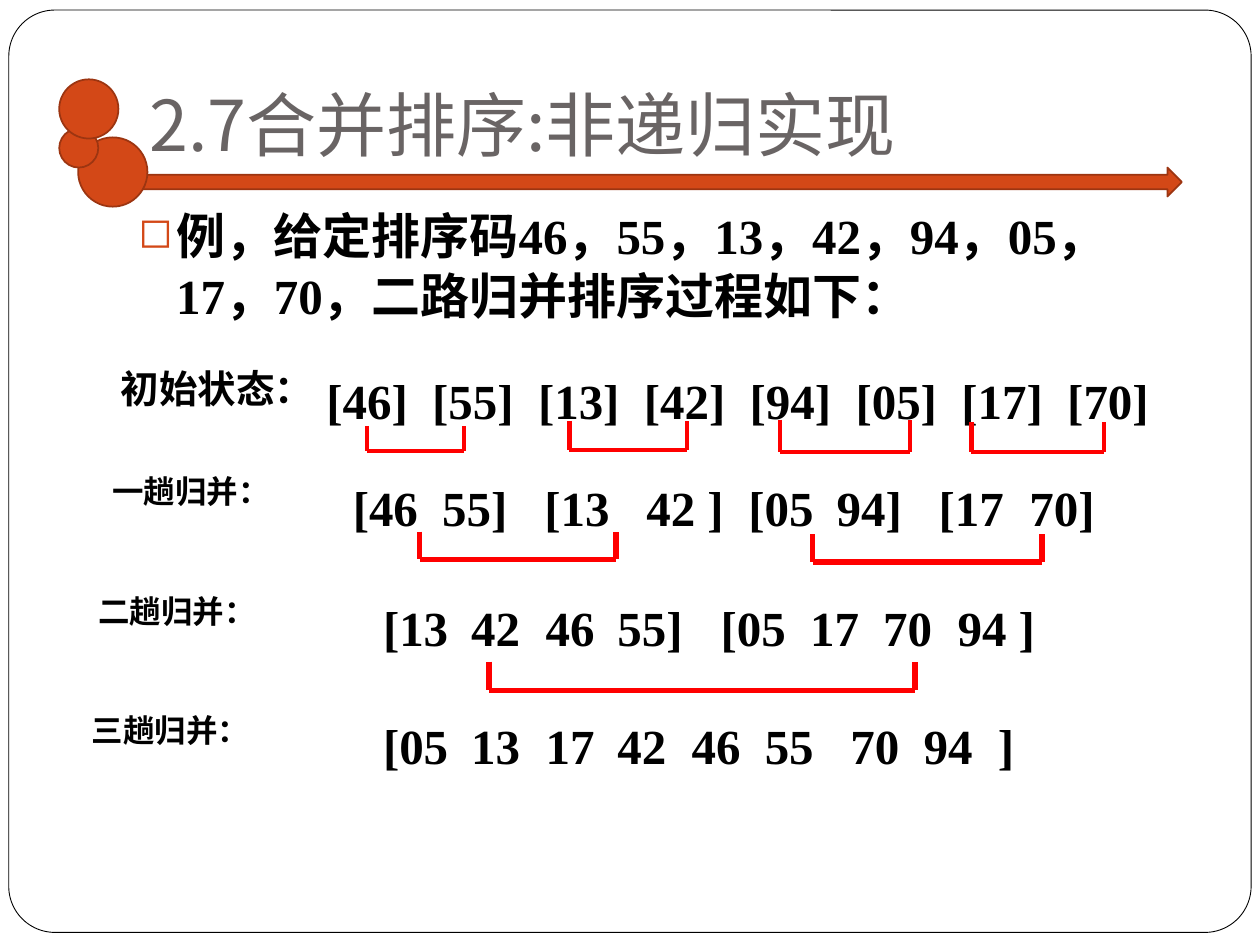
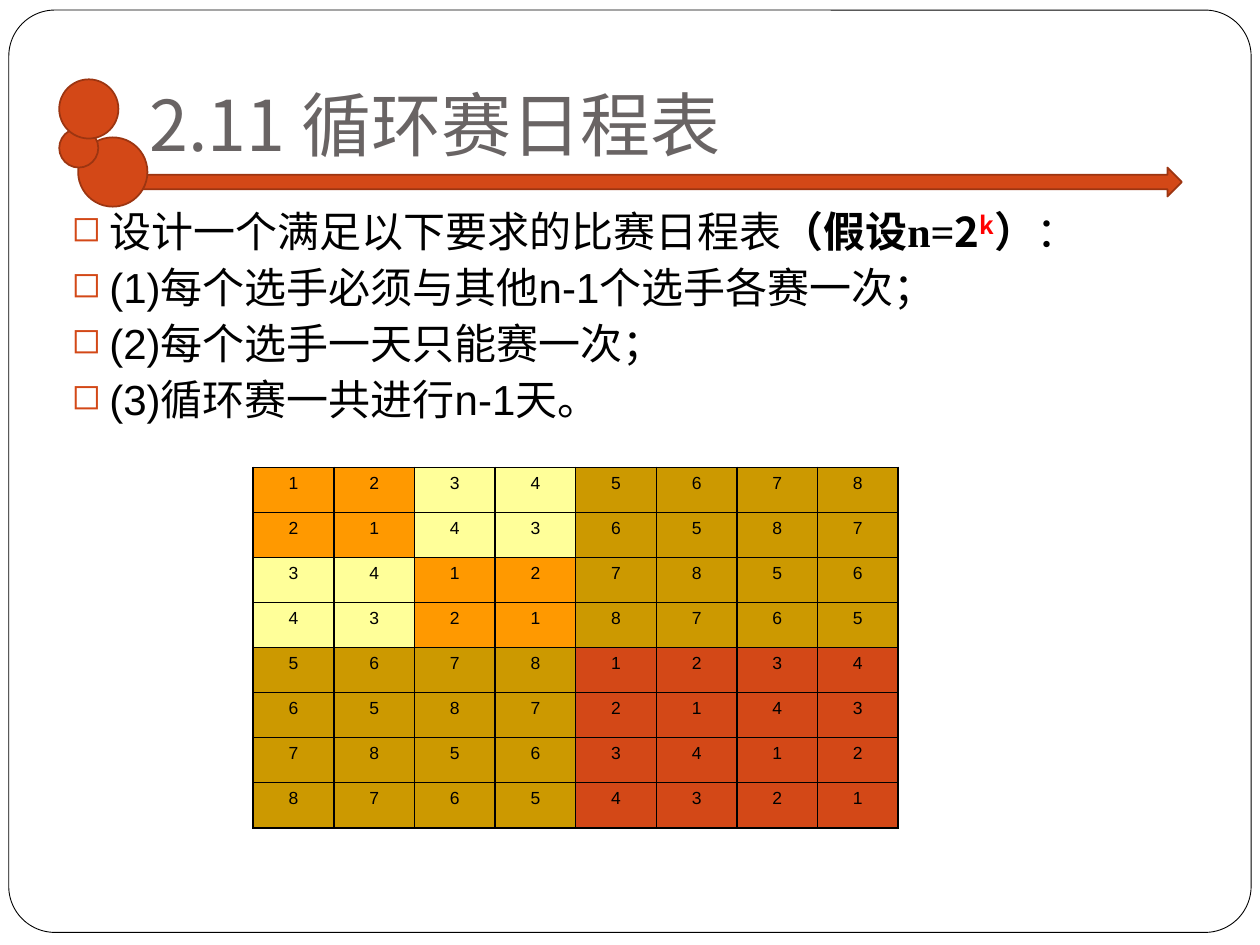
from lxml import etree
from pptx import Presentation
from pptx.dml.color import RGBColor
from pptx.enum import shapes, text
from pptx.oxml import ns
from pptx.util import Inches, Pt

COLOURS = {
    "white": "FFFFFF", "black": "000000", "accent": "D34817", "edge": "9C3511",
    "title": "696464", "red": "FF0000", "orange": "FF9900", "yellow": "FFFF99",
    "ochre": "CC9900",
}
CJK, SERIF, SANS = "Noto Sans CJK SC", "Times New Roman", "Arial"
CIRCLES = [(0.62, 1.09, 0.55), (0.47, 1.02, 0.31), (0.47, 0.63, 0.47)]

INITIAL_STATE = [(f"[{code}]", 2.59 + 0.84 * index) for index, code in
                 enumerate(["46", "55", "13", "42", "94", "05", "17", "70"])]
FIRST_PASS = [("[46", 2.8), ("55]", 3.51), ("[13", 4.32), ("42 ]", 5.13),
              ("[05", 5.94), ("94]", 6.64), ("[17", 7.45), ("70]", 8.17)]
SECOND_PASS = [("[13", 3.04), ("42", 3.74), ("46", 4.33), ("55]", 4.9),
               ("[05", 5.72), ("17", 6.43), ("70", 7.01), ("94 ]", 7.6)]
THIRD_PASS = [("[05", 3.04), ("13", 3.74), ("17", 4.33), ("42", 4.9), ("46", 5.49),
              ("55", 6.07), ("70", 6.75), ("94", 7.33), ("]", 7.92)]
MERGE_STEPS = [
    ("初始状态：", 0.96, 2.9, 22, INITIAL_STATE),
    ("一趟归并：", 0.89, 3.75, 18, FIRST_PASS),
    ("二趟归并：", 0.78, 4.7, 18, SECOND_PASS),
    ("三趟归并：", 0.73, 5.64, 18, THIRD_PASS),
]
BRACKETS = [
    (2.91, 3.68, 3.38, 3.58, 2.38), (4.52, 5.45, 3.34, 3.57, 2.38),
    (6.19, 7.22, 3.33, 3.59, 2.38), (7.71, 8.76, 3.35, 3.59, 2.38),
    (3.33, 4.89, 4.22, 4.44, 3.13), (6.45, 8.27, 4.24, 4.46, 3.13),
    (3.88, 7.26, 5.25, 5.48, 3.38),
]


def colour(name):
    return RGBColor.from_string(COLOURS[name])


def add_child(parent, tag, **attributes):
    child = etree.SubElement(parent, ns.qn(tag))
    for name, value in attributes.items():
        child.set(name, str(value))
    return child


def add_run(paragraph, content, *, size, font=CJK, color="black", bold=False, raised=False):
    run = paragraph.add_run()
    run.text = content
    run.font.size = Pt(size)
    run.font.name = font
    run.font.bold = bold
    run.font.color.rgb = colour(color)
    properties = run.font._element
    add_child(properties, "a:ea", typeface=CJK)
    if raised:
        properties.set("baseline", "30000")


def add_text_frame(slide, left, top, width, height, *, insets=(0, 0, 0, 0),
                   anchor=text.MSO_ANCHOR.TOP, wrap=True):
    box = slide.shapes.add_textbox(Inches(left), Inches(top), Inches(width), Inches(height))
    frame = box.text_frame
    frame.word_wrap = wrap
    frame.vertical_anchor = anchor
    frame.margin_left, frame.margin_top, frame.margin_right, frame.margin_bottom = map(Inches, insets)
    return frame


def add_shape(slide, kind, left, top, width, height, *, fill, line, weight):
    shape = slide.shapes.add_shape(kind, Inches(left), Inches(top), Inches(width), Inches(height))
    shape.shadow.inherit = False
    shape.fill.solid()
    shape.fill.fore_color.rgb = colour(fill)
    shape.line.color.rgb = colour(line)
    shape.line.width = Pt(weight)
    return shape


def add_line(slide, start, end, weight):
    line = slide.shapes.add_connector(shapes.MSO_CONNECTOR.STRAIGHT, *map(Inches, start + end))
    line.line.color.rgb = colour("red")
    line.line.width = Pt(weight)
    add_child(line._element.spPr, "a:effectLst")


def add_bracket(slide, left, right, top, bottom, weight):
    corners = [(left, top), (left, bottom), (right, bottom), (right, top)]
    for start, end in zip(corners, corners[1:]):
        add_line(slide, start, end, weight)


def add_bullets(slide, left, width, height, items, *, size, before, spacing):
    frame = add_text_frame(slide, left, 1.58, width, height, insets=(0.1, 0.05, 0.1, 0.05))
    for index, runs in enumerate(items):
        paragraph = frame.add_paragraph() if index else frame.paragraphs[0]
        paragraph.space_before = Pt(before)
        paragraph.line_spacing = Pt(spacing)
        properties = paragraph._p.get_or_add_pPr()
        properties.set("marL", str(Inches(0.3)))
        properties.set("indent", str(Inches(-0.3)))
        add_child(add_child(properties, "a:buClr"), "a:srgbClr", val=COLOURS["accent"])
        add_child(properties, "a:buSzPct", val=85000)
        add_child(properties, "a:buChar", char="◻")
        for content, style in runs:
            add_run(paragraph, content, size=size, **style)


def add_number_row(slide, top, entries):
    left = entries[0][1]
    frame = add_text_frame(slide, left, top, 9.4 - left, 0.47)
    paragraph = frame.paragraphs[0]
    tabs = add_child(paragraph._p.get_or_add_pPr(), "a:tabLst")
    for _, position in entries[1:]:
        add_child(tabs, "a:tab", pos=Inches(position - left), algn="l")
    content = "\t".join(entry for entry, _ in entries)
    add_run(paragraph, content, size=28, font=SERIF, bold=True)


def add_merge_step(slide, label, left, top, size, entries):
    frame = add_text_frame(slide, left, top, 1.68, 0.4, wrap=False)
    add_run(frame.paragraphs[0], label, size=size, bold=True)
    add_number_row(slide, top + 0.04, entries)


def set_cell_borders(cell):
    properties = cell._tc.get_or_add_tcPr()
    for index, side in enumerate(["a:lnL", "a:lnR", "a:lnT", "a:lnB"]):
        border = etree.Element(ns.qn(side), w=str(Pt(1)))
        add_child(add_child(border, "a:solidFill"), "a:srgbClr", val=COLOURS["black"])
        properties.insert(index, border)


def schedule_colour(row, column):
    if row // 4 != column // 4:
        return "ochre"
    if row >= 4:
        return "accent"
    return "orange" if row // 2 == column // 2 else "yellow"


def add_schedule(slide, players=8):
    frame = slide.shapes.add_table(players, players, Inches(2.01), Inches(3.71),
                                   Inches(5.12), Inches(2.86))
    table = frame.table
    table.first_row = table.horz_banding = False
    for row in range(players):
        for column in range(players):
            cell = table.cell(row, column)
            cell.fill.solid()
            cell.fill.fore_color.rgb = colour(schedule_colour(row, column))
            set_cell_borders(cell)
            paragraph = cell.text_frame.paragraphs[0]
            paragraph.alignment = text.PP_ALIGN.CENTER
            add_run(paragraph, str((row ^ column) + 1), size=10, font=SANS)


def add_slide(presentation, title):
    slide = presentation.slides.add_slide(presentation.slide_layouts[6])
    kinds = shapes.MSO_SHAPE
    border = add_shape(slide, kinds.ROUNDED_RECTANGLE, 0.07, 0.08, 9.86, 7.32,
                       fill="white", line="black", weight=0.5)
    border.adjustments[0] = 0.05
    accent = {"fill": "accent", "line": "edge", "weight": 1}
    add_shape(slide, kinds.RIGHT_ARROW, 0.86, 1.33, 8.52, 0.23, **accent)
    for left, top, diameter in CIRCLES:
        add_shape(slide, kinds.OVAL, left, top, diameter, diameter, **accent)
    frame = add_text_frame(slide, 1.09, 0.16, 8.5, 1.25, insets=(0.1, 0.05, 0.1, 0.1),
                           anchor=text.MSO_ANCHOR.BOTTOM)
    add_run(frame.paragraphs[0], title, size=40, color="title")
    return slide


def add_merge_sort_slide(presentation):
    slide = add_slide(presentation, "2.7合并排序:非递归实现")
    for step in MERGE_STEPS:
        add_merge_step(slide, *step)
    for bracket in BRACKETS:
        add_bracket(slide, *bracket)
    example = "例，给定排序码46，55，13，42，94，05，17，70，二路归并排序过程如下："
    add_bullets(slide, 1, 8.5, 1.22, [[(example, {"font": SERIF, "bold": True})]],
                size=28, before=5.8, spacing=34)


def add_round_robin_slide(presentation):
    slide = add_slide(presentation, "2.11 循环赛日程表")
    add_schedule(slide)
    plain = {"font": SANS}
    strong = {"font": SERIF, "bold": True}
    requirement = [
        ("设计一个满足以下要求的比赛日程表", plain),
        ("（假设n=", strong),
        ("2", {"bold": True}),
        ("k", {"bold": True, "color": "red", "raised": True}),
        ("）", strong),
        ("：", plain),
    ]
    rules = ["(1)每个选手必须与其他n-1个选手各赛一次；", "(2)每个选手一天只能赛一次；",
             "(3)循环赛一共进行n-1天。"]
    add_bullets(slide, 0.47, 9.33, 5, [requirement] + [[(rule, plain)] for rule in rules],
                size=24, before=3, spacing=29)


def main():
    presentation = Presentation()
    presentation.slide_width = Inches(10)
    presentation.slide_height = Inches(7.5)
    add_merge_sort_slide(presentation)
    add_round_robin_slide(presentation)
    presentation.save("out.pptx")


if __name__ == "__main__":
    main()
